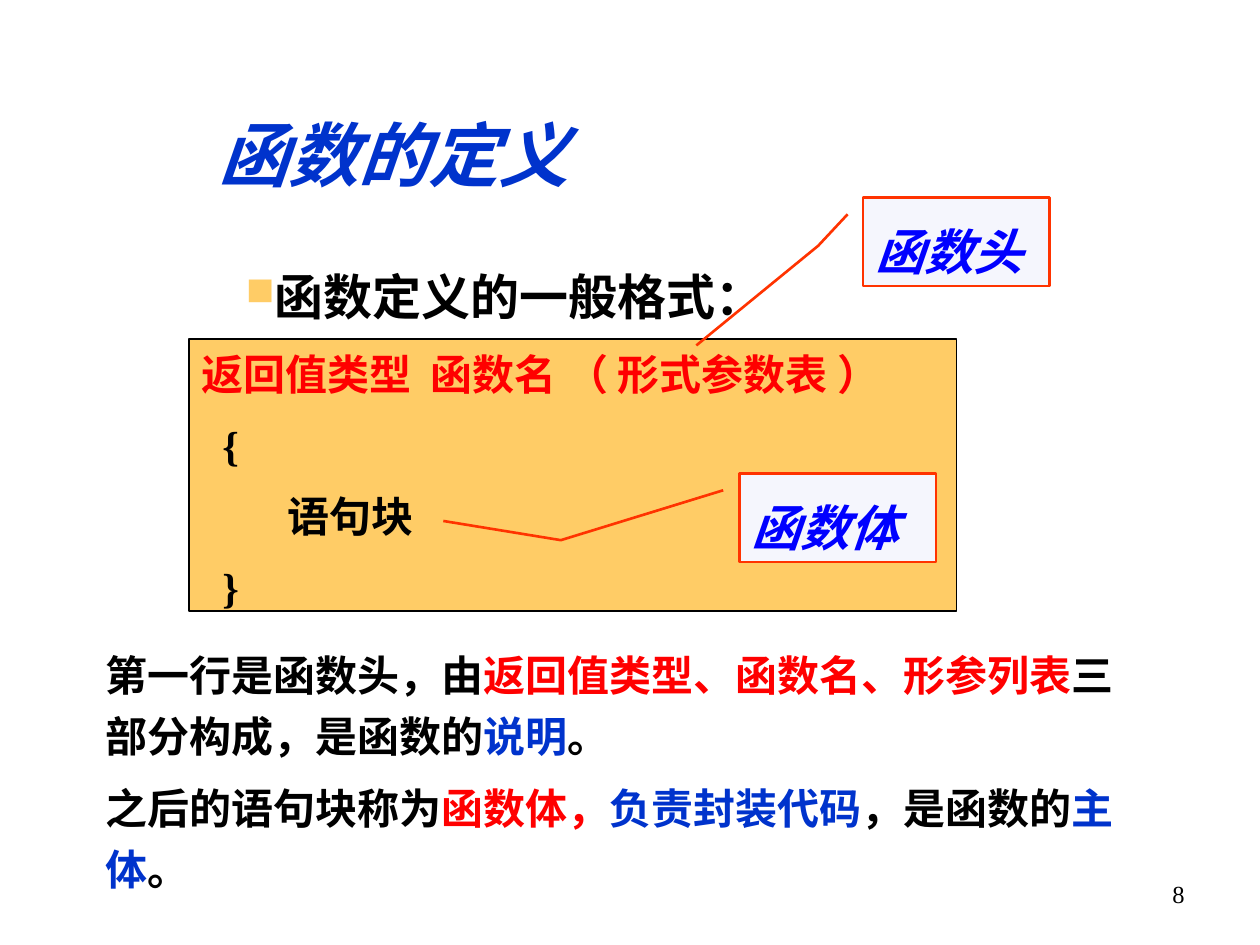
"""Build the slide on the general form of a function definition."""
from lxml import etree
from pptx import Presentation
from pptx.dml.color import RGBColor
from pptx.enum import shapes, text
from pptx.oxml import ns
from pptx.util import Pt

COLORS = {
    "black": "000000", "red": "FF0000", "blue": "0033CC", "label": "0000FF",
    "amber": "FFCC66", "pale": "F5F6FD", "orange": "FF3300",
}


def add_paragraph(frame, runs, size, bold=True, italic=False, before=0, spacing=None, align=None):
    first = frame.paragraphs[0]
    paragraph = frame.add_paragraph() if first.runs else first
    paragraph.alignment = align or text.PP_ALIGN.LEFT
    paragraph.space_before = Pt(before)
    if spacing:
        paragraph.line_spacing = spacing
    for wording, color in runs:
        run = paragraph.add_run()
        run.text = wording
        run.font.size = Pt(size)
        run.font.bold = bold
        run.font.italic = italic
        run.font.color.rgb = RGBColor.from_string(COLORS[color])
        run.font.name = "Times New Roman"
    return paragraph


def add_panel(preset, box, fill, line, width):
    panel = slide.shapes.add_shape(preset, *map(Pt, box))
    panel.shadow.inherit = False
    panel.fill.solid()
    panel.fill.fore_color.rgb = RGBColor.from_string(COLORS[fill])
    panel.line.color.rgb = RGBColor.from_string(COLORS[line])
    panel.line.width = Pt(width)
    panel.text_frame.word_wrap = True
    return panel


deck = Presentation()
deck.slide_width, deck.slide_height = Pt(720), Pt(540)
slide = deck.slides.add_slide(deck.slide_layouts[6])

page_number = slide.shapes.add_textbox(Pt(516), Pt(499), Pt(168), Pt(37.5)).text_frame
page_number.word_wrap = True
add_paragraph(page_number, [("8", "black")], 14, bold=False, align=text.PP_ALIGN.RIGHT)

heading = slide.shapes.add_textbox(Pt(53.3), Pt(143.3), Pt(610), Pt(50)).text_frame
heading.word_wrap = True
general_form = add_paragraph(heading, [("函数定义的一般格式：", "black")], 28, before=7, spacing=Pt(39))
properties = general_form._p.get_or_add_pPr()
properties.set("marL", "0")
properties.set("indent", str(Pt(80)))
bullet_color = etree.SubElement(properties, ns.qn("a:buClr"))
etree.SubElement(bullet_color, ns.qn("a:srgbClr"), val=COLORS["amber"])
etree.SubElement(properties, ns.qn("a:buSzPct"), val="80000")
etree.SubElement(properties, ns.qn("a:buChar"), char="■")

explanation = slide.shapes.add_textbox(Pt(53.3), Pt(361.4), Pt(610), Pt(142)).text_frame
explanation.word_wrap = True
for sentence in (
    [("第一行是函数头，由", "black"), ("返回值类型、函数名、形参列表", "red"),
     ("三部分构成，是函数的", "black"), ("说明", "blue"), ("。", "black")],
    [("之后的语句块称为", "black"), ("函数体，", "red"), ("负责封装代码", "blue"),
     ("，是函数的", "black"), ("主体", "blue"), ("。", "black")],
):
    add_paragraph(explanation, sentence, 24, before=6, spacing=Pt(35))

syntax = add_panel(shapes.MSO_SHAPE.RECTANGLE, (108, 193.7, 438.5, 155.5), "amber", "black", 0.75).text_frame
syntax.vertical_anchor = text.MSO_ANCHOR.MIDDLE
for code, color, indent in (
    ("返回值类型  函数名 （ 形式参数表 ）", "red", 0),
    ("{", "black", 12),
    ("语句块", "black", 49),
    ("}", "black", 12),
):
    code_line = add_paragraph(syntax, [(code, color)], 24, before=6, spacing=1.2,
                              align=text.PP_ALIGN.JUSTIFY)
    code_line._p.get_or_add_pPr().set("marL", str(Pt(indent)))

for label, box, pointer in (
    ("函数头", (493.2, 113, 106.6, 50.4), (0.188, -0.083, 0.546, -0.241, 1.675, -0.894)),
    ("函数体", (422.6, 270.7, 112.3, 50.4), (0.188, -0.083, 0.754, -0.909, 0.536, -1.507)),
):
    callout = add_panel(shapes.MSO_SHAPE.LINE_CALLOUT_2, box, "pale", "orange", 1.5)
    for index, value in enumerate(pointer):
        callout.adjustments[index] = value
    callout.text_frame.vertical_anchor = text.MSO_ANCHOR.TOP
    add_paragraph(callout.text_frame, [(label, "label")], 28, italic=True, before=17.5, spacing=1.3)

title = slide.shapes.add_textbox(Pt(106.6), Pt(62.6), Pt(236.2), Pt(49.7)).text_frame
title.word_wrap = True
title.vertical_anchor = text.MSO_ANCHOR.MIDDLE
title.margin_left = title.margin_right = title.margin_bottom = 0
title.margin_top = Pt(0.7)
topic = add_paragraph(title, [("函数的定义", "blue")], 40, italic=True, before=1,
                      align=text.PP_ALIGN.CENTER)
effects = etree.Element(ns.qn("a:effectLst"))
shadow = etree.SubElement(effects, ns.qn("a:outerShdw"), dist=str(Pt(2)), dir="2700000")
etree.SubElement(shadow, ns.qn("a:srgbClr"), val=COLORS["black"])
topic.runs[0].font._element.find(ns.qn("a:solidFill")).addnext(effects)

deck.save("out.pptx")
